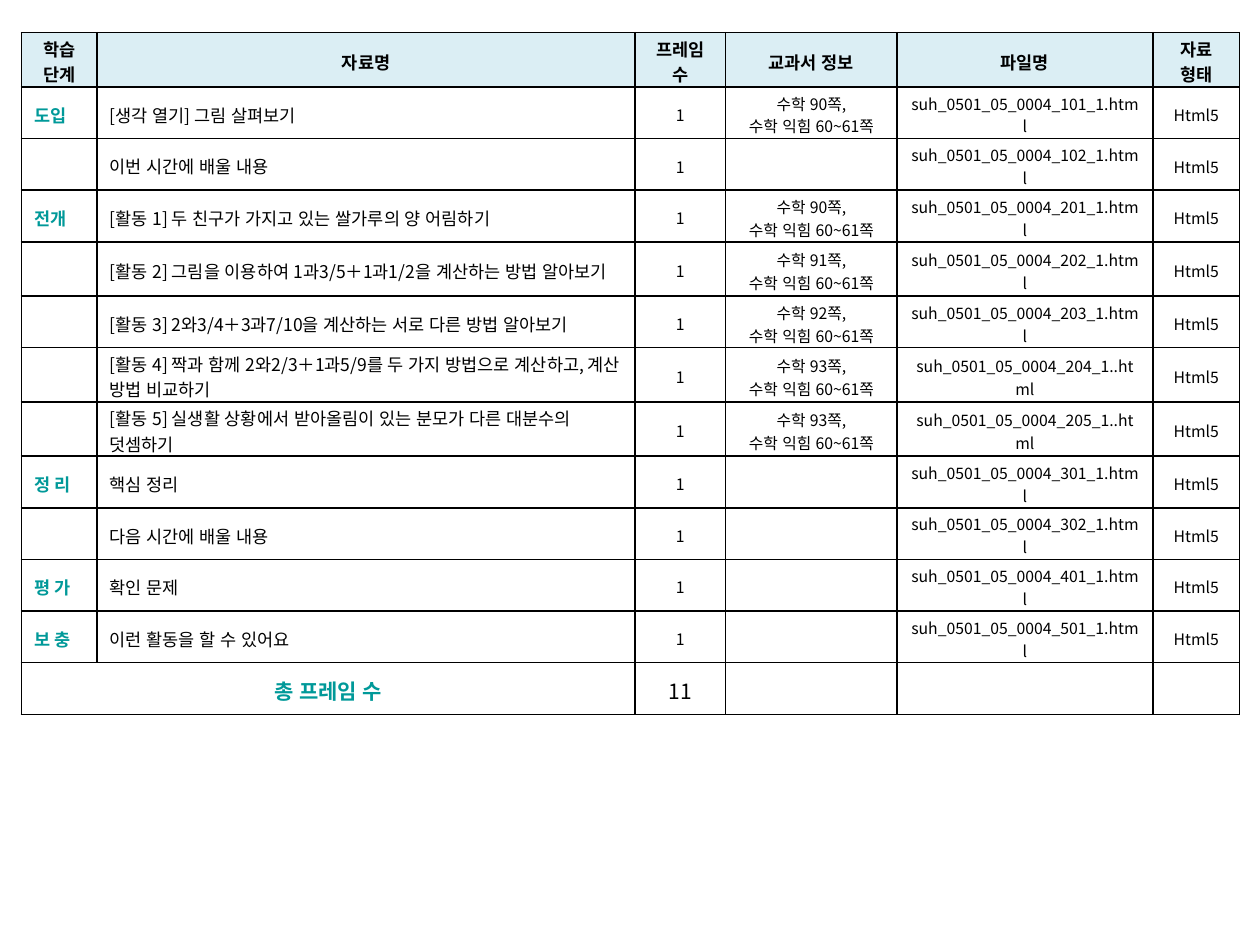
"""Builds the lesson material list for one class as a single table slide."""
from lxml import etree
from pptx import Presentation
from pptx.dml.color import RGBColor
from pptx.enum.lang import MSO_LANGUAGE_ID
from pptx.enum.text import MSO_ANCHOR, PP_ALIGN
from pptx.oxml.ns import qn
from pptx.util import Inches, Pt

FONT = "Noto Sans CJK KR"
COLORS = {"text": "000000", "stage": "009999", "header": "DBEEF4", "border": "000000"}
HEADERS = ["학습 단계", "자료명", "프레임 수", "교과서 정보", "파일명", "자료\n형태"]
MATERIALS = [
    ("도입", "[생각 열기] 그림 살펴보기", "90", "101_1.html"),
    ("", "이번 시간에 배울 내용", "", "102_1.html"),
    ("전개", "[활동 1] 두 친구가 가지고 있는 쌀가루의 양 어림하기", "90", "201_1.html"),
    ("", "[활동 2] 그림을 이용하여 1과3/5＋1과1/2을 계산하는 방법 알아보기", "91", "202_1.html"),
    ("", "[활동 3] 2와3/4＋3과7/10을 계산하는 서로 다른 방법 알아보기", "92", "203_1.html"),
    ("", "[활동 4] 짝과 함께 2와2/3＋1과5/9를 두 가지 방법으로 계산하고, 계산 방법 비교하기",
     "93", "204_1..html"),
    ("", "[활동 5] 실생활 상황에서 받아올림이 있는 분모가 다른 대분수의 덧셈하기",
     "93", "205_1..html"),
    ("정 리", "핵심 정리", "", "301_1.html"),
    ("", "다음 시간에 배울 내용", "", "302_1.html"),
    ("평 가", "확인 문제", "", "401_1.html"),
    ("보 충", "이런 활동을 할 수 있어요", "", "501_1.html"),
]
TOTAL_LABEL = "총 프레임 수"
COLUMN_WIDTHS = [0.6, 4.27, 0.72, 1.36, 2.03, 0.69]
HEADER_HEIGHT, ROW_HEIGHT = 0.43, 0.41
LEFT, TOP = 0.17, 0.26
MARGIN_TOP, MARGIN_BOTTOM = 0.03, 0


def add_borders(cell):
    properties = cell._tc.get_or_add_tcPr()
    for side in ("lnL", "lnR", "lnT", "lnB"):
        line = etree.SubElement(properties, qn(f"a:{side}"), w=str(Pt(1)))
        fill = etree.SubElement(line, qn("a:solidFill"))
        etree.SubElement(fill, qn("a:srgbClr"), val=COLORS["border"])


def write(cell, text, size=9, bold=False, color="text", align=PP_ALIGN.CENTER, fill=None):
    add_borders(cell)
    if fill:
        cell.fill.solid()
        cell.fill.fore_color.rgb = RGBColor.from_string(COLORS[fill])
    else:
        cell.fill.background()
    cell.vertical_anchor = MSO_ANCHOR.MIDDLE
    cell.margin_top, cell.margin_bottom = Inches(MARGIN_TOP), Inches(MARGIN_BOTTOM)
    cell.text = text
    for paragraph in cell.text_frame.paragraphs:
        paragraph.alignment = align
        if not paragraph.runs:
            etree.SubElement(paragraph._p, qn("a:endParaRPr"), sz=str(size * 100))
        for run in paragraph.runs:
            run.font.name = FONT
            run.font.size = Pt(size)
            run.font.bold = bold
            run.font.color.rgb = RGBColor.from_string(COLORS[color])
            run.font.language_id = MSO_LANGUAGE_ID.KOREAN
            run.font._element.set("kern", "0")
            etree.SubElement(run.font._element, qn("a:ea"), typeface=FONT)


def main():
    presentation = Presentation()
    presentation.slide_width, presentation.slide_height = Inches(10), Inches(7.5)
    slide = presentation.slides.add_slide(presentation.slide_layouts[6])
    heights = [HEADER_HEIGHT] + [ROW_HEIGHT] * (len(MATERIALS) + 1)
    table = slide.shapes.add_table(
        len(heights), len(HEADERS), Inches(LEFT), Inches(TOP),
        Inches(sum(COLUMN_WIDTHS)), Inches(sum(heights))).table
    table.first_row = table.horz_banding = False
    for column, width in zip(table.columns, COLUMN_WIDTHS):
        column.width = Inches(width)
    for row, height in zip(table.rows, heights):
        row.height = Inches(height)

    header_format = dict(size=10, bold=True, fill="header")
    stage_format = dict(size=10, bold=True, color="stage", align=PP_ALIGN.JUSTIFY)
    title_format = dict(size=10, align=PP_ALIGN.LEFT)
    total_format = dict(size=12, bold=True, color="stage")

    for column, header in enumerate(HEADERS):
        write(table.cell(0, column), header, **header_format)
    for row, (stage, title, page, file_end) in enumerate(MATERIALS, start=1):
        textbook = f"수학 {page}쪽,\n수학 익힘 60~61쪽" if page else ""
        entries = [(stage, stage_format), (title, title_format), ("1", {}), (textbook, {}),
                   (f"suh_0501_05_0004_{file_end}", {}), ("Html5", {})]
        for column, (text, style) in enumerate(entries):
            write(table.cell(row, column), text, **style)

    last = len(heights) - 1
    totals = [(TOTAL_LABEL, total_format), ("", {}), (str(len(MATERIALS)), dict(size=12))]
    for column, (text, style) in enumerate(totals + [("", {})] * 3):
        write(table.cell(last, column), text, **style)
    table.cell(last, 0).merge(table.cell(last, 1))
    presentation.save("out.pptx")


if __name__ == "__main__":
    main()
